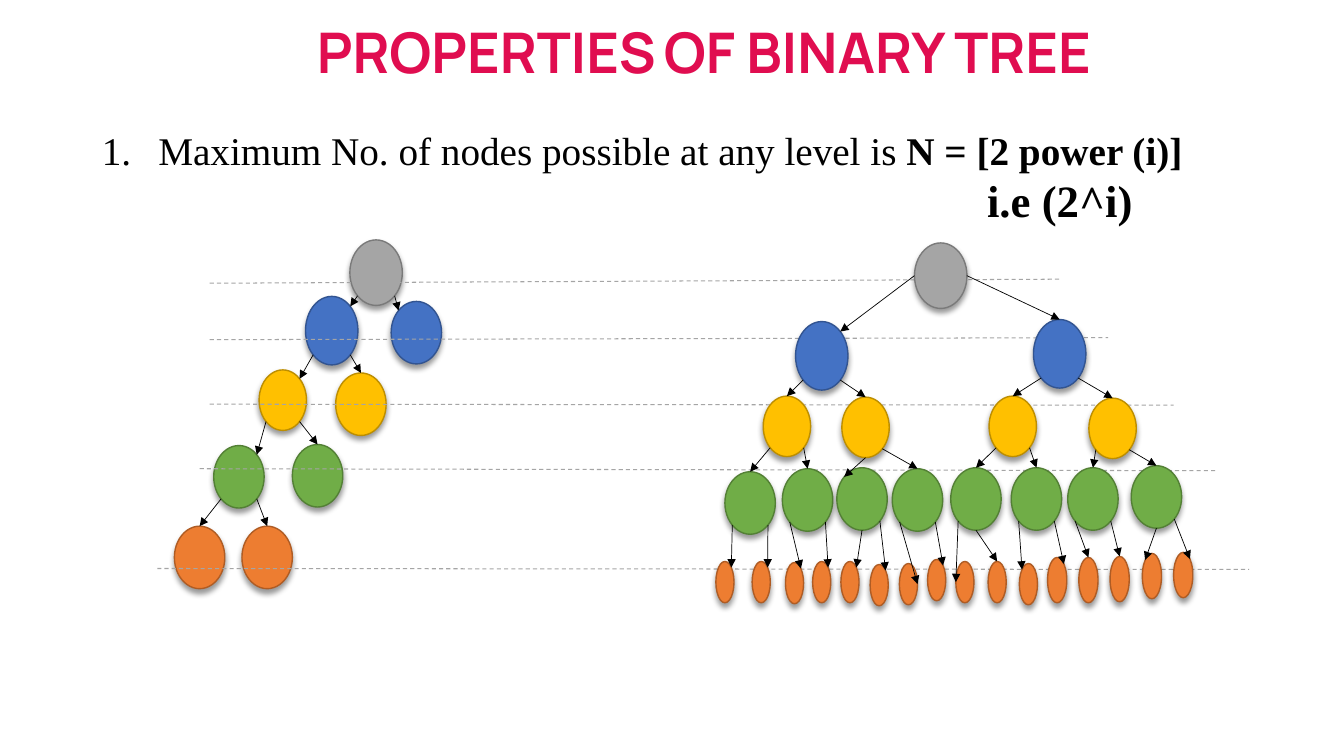
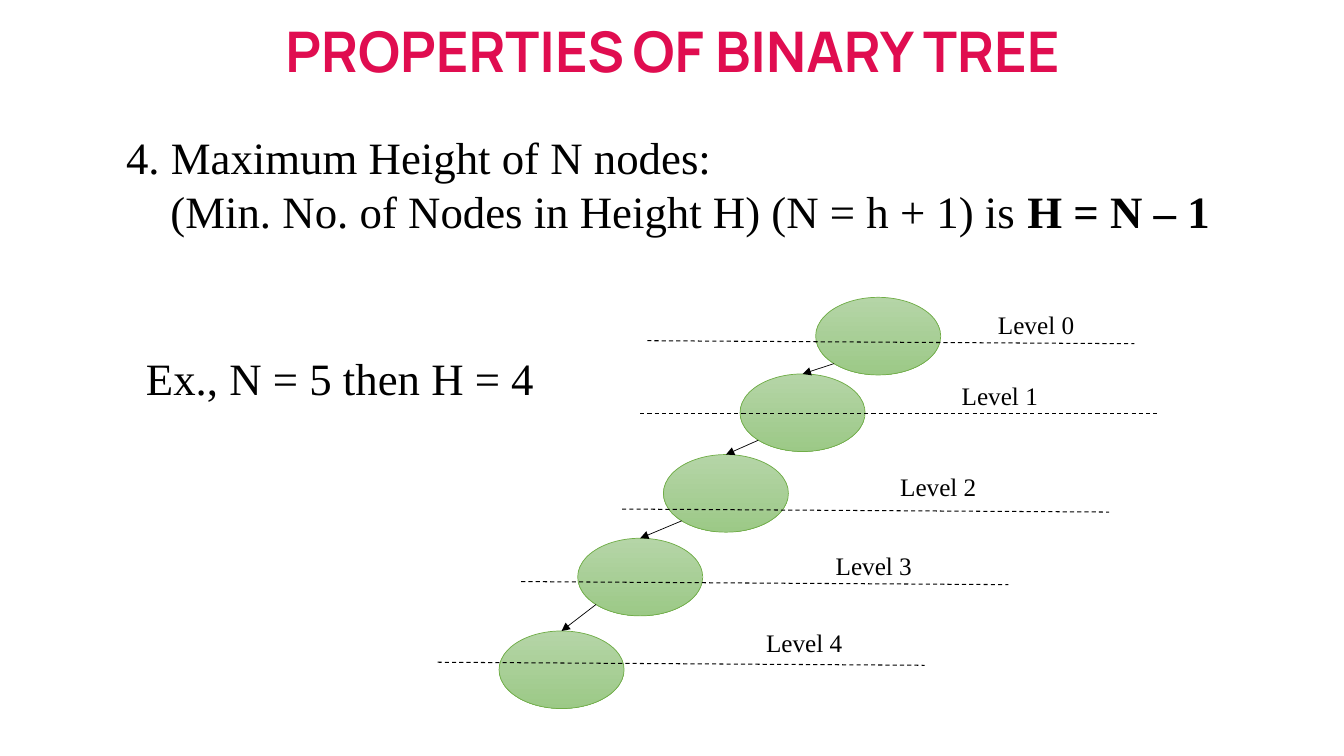
from collections import namedtuple
from math import sqrt

from pptx import Presentation
from pptx.dml.color import RGBColor
from pptx.enum.dml import MSO_LINE_DASH_STYLE as Dash
from pptx.enum.shapes import MSO_CONNECTOR as Connector, MSO_SHAPE as Preset
from pptx.enum.text import MSO_ANCHOR as Anchor, MSO_AUTO_SIZE as AutoSize, PP_ALIGN as Align
from pptx.oxml.ns import qn
from pptx.oxml.xmlchemy import OxmlElement
from pptx.util import Inches, Pt

Box = namedtuple("Box", "left top width height")
Level = namedtuple("Level", "paint nodes joins")

HEADING_FONT, TEXT_FONT = "Manrope", "Times New Roman"
HEADING, BLACK, GUIDE = "E00D50", "000000", "A5A5A5"
GREY = ("A5A5A5", "7A7A7A")
BLUE = ("4472C4", "325491")
YELLOW = ("FFC000", "BD8E00")
GREEN = ("70AD47", "538035")
ORANGE = ("ED7D31", "AF5C24")

DIAGONAL = 1 / sqrt(2)
SITES = {
    "top": (0, -1), "bottom": (0, 1), "left": (-1, 0), "right": (1, 0),
    "tl": (-DIAGONAL, -DIAGONAL), "tr": (DIAGONAL, -DIAGONAL),
    "bl": (-DIAGONAL, DIAGONAL), "br": (DIAGONAL, DIAGONAL),
}


def rgb(color):
    return RGBColor.from_string(color)


def inches(values):
    return [Inches(value) for value in values]


def child(parent, tag, **attributes):
    element = OxmlElement(tag)
    for key, value in attributes.items():
        element.set(key, str(value))
    parent.append(element)
    return element


def set_font(font, size, color=BLACK, name=TEXT_FONT, bold=None):
    font.name, font.size, font.bold = name, Pt(size), bold
    font.color.rgb = rgb(color)


def place(shape, box):
    shape.left, shape.top, shape.width, shape.height = inches(box)
    frame = shape.text_frame
    frame.word_wrap = True
    frame.auto_size = AutoSize.NONE
    frame.vertical_anchor = Anchor.TOP
    return frame


def add_title(slide, box):
    paragraph = place(slide.shapes.title, box).paragraphs[0]
    paragraph.alignment = Align.CENTER
    set_font(paragraph.font, 40, HEADING, HEADING_FONT, True)
    for words in ("PROPERTIES", " ", "OF BINARY TREE"):
        run = paragraph.add_run()
        run.text = words
        if words == " ":
            set_font(run.font, 24)


def add_statement(slide, box, lines):
    frame = place(slide.placeholders[1], box)
    for index, (size, margin, numbered, plain, strong) in enumerate(lines):
        paragraph = frame.add_paragraph() if index else frame.paragraphs[0]
        properties = paragraph._p.get_or_add_pPr()
        properties.set("marL", str(Inches(margin)))
        properties.set("indent", str(Inches(-margin if numbered else 0)))
        if numbered:
            child(properties, "a:buFont", typeface="+mj-lt")
            child(properties, "a:buAutoNum", type="arabicPeriod")
        else:
            child(properties, "a:buNone")
        paragraph.alignment = Align.LEFT
        paragraph.line_spacing = 1.0
        paragraph.space_before = Pt(0)
        set_font(paragraph.font, size)
        for words, bold in ((plain, False), (strong, True)):
            if words:
                run = paragraph.add_run()
                run.text = words
                run.font.bold = bold


def add_note(slide, box, words, size):
    frame = place(slide.shapes.add_textbox(*inches(box)), box)
    paragraph = frame.paragraphs[0]
    paragraph.text = words
    set_font(paragraph.font, size)


def add_line(slide, start, end, color=BLACK, width=0.5, arrow=False):
    line = slide.shapes.add_connector(Connector.STRAIGHT, *inches((*start, *end)))
    line.line.color.rgb = rgb(color)
    line.line.width = Pt(width)
    if arrow:
        child(line.line._get_or_add_ln(), "a:tailEnd", type="triangle")
    else:
        line.line.dash_style = Dash.DASH
    child(line._element.spPr, "a:effectLst")


def solid(fill, outline):
    def paint(node):
        node.fill.solid()
        node.fill.fore_color.rgb = rgb(fill)
        node.line.color.rgb = rgb(outline)
        node.line.width = Pt(1)
        effects = node._element.spPr.find(qn("a:effectLst"))
        shadow = child(effects, "a:outerShdw", blurRad=Pt(4), dist=Pt(3),
                       dir=5400000, algn="t", rotWithShape=0)
        child(child(shadow, "a:srgbClr", val=BLACK), "a:alpha", val=40000)
    return paint


def pale_green(node):
    node.fill.gradient()
    node.fill.gradient_angle = 270
    for stop, color in zip(node.fill.gradient_stops, ("B5D5A7", "9CC987")):
        stop.color.rgb = rgb(color)
    node.line.color.rgb = rgb("70AD47")
    node.line.width = Pt(0.5)


def sized(width, height, *spots):
    return [Box(left, top, width, height) for left, top in spots]


def site(node, name):
    across, down = SITES[name]
    return (node.left + node.width / 2 * (1 + across),
            node.top + node.height / 2 * (1 + down))


def add_tree(slide, origin, levels):
    left, top = origin
    placed = [[Box(left + n.left, top + n.top, n.width, n.height) for n in level.nodes]
              for level in levels]
    for level, nodes in zip(levels, placed):
        for box in nodes:
            node = slide.shapes.add_shape(Preset.OVAL, *inches(box))
            node.shadow.inherit = False
            level.paint(node)
    for level, parents, children in zip(levels[1:], placed, placed[1:]):
        for index, (node, join) in enumerate(zip(children, level.joins)):
            leave, arrive = join.split()
            add_line(slide, site(parents[index // 2], leave), site(node, arrive), arrow=True)


def add_guides(slide, guides, color):
    for left, top, width, drop in guides:
        add_line(slide, (left, top), (left + width, top + drop), color, 0.75)


PARTIAL_TREE = [
    Level(solid(*GREY), sized(0.52, 0.65, (1.74, 0)), []),
    Level(solid(*BLUE), sized(0.52, 0.68, (1.3, 0.56)) + sized(0.5, 0.62, (2.15, 0.61)),
          ["bl tr", "br tl"]),
    Level(solid(*YELLOW), sized(0.47, 0.6, (0.84, 1.29)) + sized(0.5, 0.62, (1.6, 1.32)),
          ["bl tr", "br top"]),
    Level(solid(*GREEN), sized(0.5, 0.62, (0.39, 2.04), (1.17, 2.03)), ["bl tr", "br top"]),
    Level(solid(*ORANGE), sized(0.5, 0.62, (0, 2.84), (0.67, 2.84)), ["bl top", "br top"]),
]

FULL_TREE = [
    Level(solid(*GREY), sized(0.52, 0.65, (1.97, 0)), []),
    Level(solid(*BLUE), sized(0.52, 0.68, (0.79, 0.78), (3.15, 0.76)),
          ["left tr", "right top"]),
    Level(solid(*YELLOW),
          sized(0.47, 0.6, (0.47, 1.52), (1.25, 1.53), (2.71, 1.52), (3.7, 1.54)),
          ["bl top", "br top"] * 2),
    Level(solid(*GREEN),
          sized(0.5, 0.62, (0.09, 2.27), (0.66, 2.24), (1.2, 2.23), (1.75, 2.24),
                (2.33, 2.23), (2.93, 2.23), (3.49, 2.23), (4.12, 2.21)),
          ["bl top", "br top", "bottom tl", "br top"] + ["bl top", "br top"] * 2),
    Level(solid(*ORANGE),
          sized(0.18, 0.41, (0, 3.16), (0.36, 3.16), (0.69, 3.17), (0.96, 3.16),
                (1.24, 3.16), (1.53, 3.19), (1.82, 3.18), (2.1, 3.14),
                (2.38, 3.16), (2.7, 3.16), (3.01, 3.18))
          + sized(0.19, 0.45, (3.29, 3.12), (3.6, 3.12), (3.91, 3.11),
                  (4.23, 3.08), (4.54, 3.07)),
          ["bl tr", "br tr"] * 2
          + ["bottom tr", "br tr", "bl right", "br tr", "bl left", "bottom top",
             "bl tl", "br tr", "bl top", "br top", "bottom tl", "br tr"]),
]

CHAIN = [Level(pale_green, sized(1.24, 0.77, spot), ["bl top"])
         for spot in ((3.14, 0), (2.39, 0.76), (1.63, 1.56), (0.78, 2.39), (0, 3.31))]

TREE_GUIDES = [
    (2.08, 2.81, 8.43, -0.04), (2.08, 3.37, 8.91, -0.02), (2.08, 4.01, 9.56, 0.01),
    (1.98, 4.65, 10.09, 0.02), (1.56, 5.64, 10.83, 0.01),
]
CHAIN_GUIDES = [
    (6.42, 3.38, 4.83, 0.03), (6.35, 4.1, 5.14, 0), (6.17, 5.05, 4.83, 0.03),
    (5.17, 5.77, 4.83, 0.03), (4.34, 6.57, 4.83, 0.03),
]
LEVEL_LABELS = [(9.8, 3.02), (9.44, 3.72), (8.83, 4.63), (8.19, 5.41), (7.5, 6.17)]


def build_level_slide(slide):
    add_title(slide, Box(2.57, 0.12, 8.82, 0.77))
    add_statement(slide, Box(0.91, 1.2, 12.12, 1.11), [
        (28, 0.56, True, "Maximum No. of nodes possible at any level is ", "N = [2 power (i)]"),
        (32, 8.78, False, "", "i.e (2^i)"),
    ])
    add_tree(slide, (1.73, 2.38), PARTIAL_TREE)
    add_guides(slide, TREE_GUIDES, GUIDE)
    add_tree(slide, (7.1, 2.41), FULL_TREE)


def build_height_slide(slide):
    add_title(slide, Box(2.26, 0.11, 8.82, 0.77))
    add_statement(slide, Box(1.15, 1.24, 11.76, 1.85), [
        (32, 0, False, "4. Maximum Height of N nodes:", ""),
        (32, 0.44, False, "(Min. No. of Nodes in Height H) (N = h + 1) is ", "H = N – 1"),
    ])
    add_tree(slide, (4.95, 2.95), CHAIN)
    add_guides(slide, CHAIN_GUIDES, BLACK)
    for number, spot in enumerate(LEVEL_LABELS):
        add_note(slide, Box(*spot, 1.64, 0.42), f"Level {number}", 18)
    add_note(slide, Box(1.35, 3.43, 4.37, 0.64), "Ex., N = 5 then H = 4", 32)


def main():
    deck = Presentation()
    deck.slide_width, deck.slide_height = Inches(13.33), Inches(7.5)
    for build in (build_level_slide, build_height_slide):
        build(deck.slides.add_slide(deck.slide_layouts[1]))
    deck.save("out.pptx")


if __name__ == "__main__":
    main()
